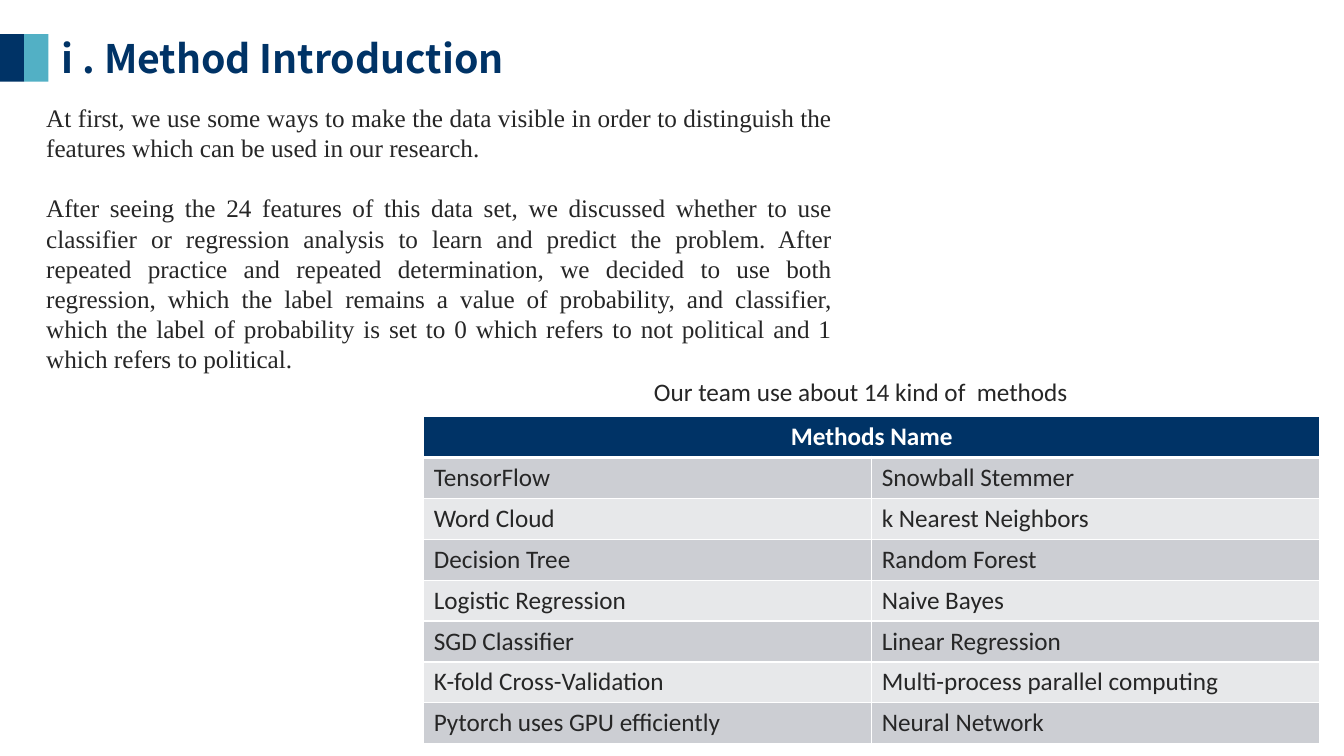
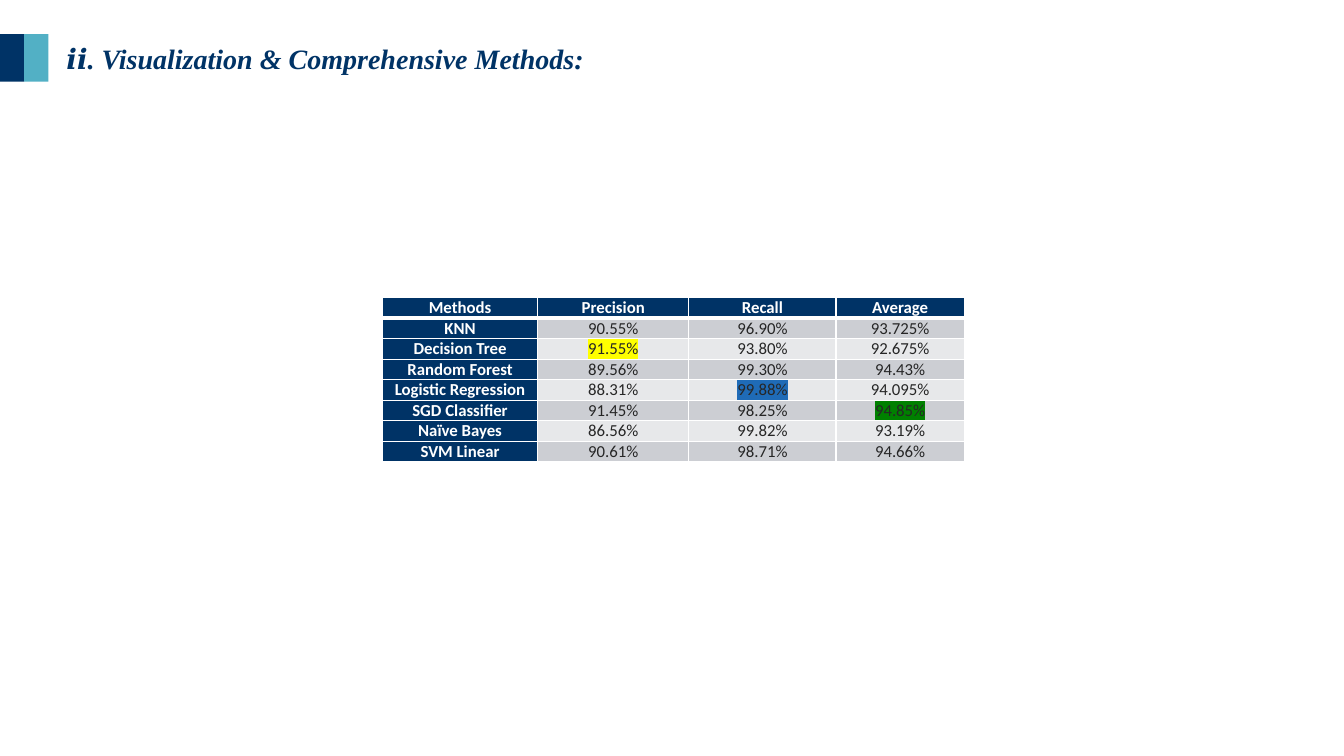
import lxml.etree
import pptx
import pptx.dml.color
import pptx.enum.shapes
import pptx.enum.text
import pptx.oxml.ns
import pptx.util

Cm = pptx.util.Cm
Pt = pptx.util.Pt
RGBColor = pptx.dml.color.RGBColor
ALIGN = pptx.enum.text.PP_ALIGN
ANCHOR = pptx.enum.text.MSO_ANCHOR
qn = pptx.oxml.ns.qn

NAVY = RGBColor(0x00, 0x33, 0x66)
TEAL = RGBColor(0x52, 0xB0, 0xC5)
INK = RGBColor(0x26, 0x26, 0x26)
WHITE = RGBColor(0xFF, 0xFF, 0xFF)
DARK_BAND = RGBColor(0xCC, 0xCE, 0xD3)
LIGHT_BAND = RGBColor(0xE7, 0xE8, 0xEA)
YELLOW = RGBColor(0xFF, 0xFF, 0x00)
BLUE = RGBColor(0x1F, 0x6B, 0xB7)
GREEN = RGBColor(0x00, 0x80, 0x00)

SANS = "Calibri"
SERIF = "Times New Roman"
LEADING = Pt(21.6)


def write(tf, text, size=18, font=SANS, color=INK, bold=False, italic=False,
          align=ALIGN.LEFT, leading=None, before=0, highlight=None):
    p = tf.paragraphs[0] if not tf.text else tf.add_paragraph()
    p.alignment = align
    p.space_before = Pt(0) if not before else before
    if leading:
        p.line_spacing = leading
    r = p.add_run()
    r.text = text
    r.font.size = Pt(size)
    r.font.name = font
    r.font.bold = bold
    r.font.italic = italic
    r.font.color.rgb = color
    if highlight:
        mark = lxml.etree.Element(qn("a:highlight"))
        lxml.etree.SubElement(mark, qn("a:srgbClr"), val=str(highlight))
        r._r.rPr.find(qn("a:solidFill")).addnext(mark)
    return p


def add_grid(s, rows, left, top, widths, height, size=18, label_column=False,
             centered=False, highlights={}):
    gf = s.shapes.add_table(len(rows), len(widths), Cm(left), Cm(top),
                            Cm(sum(widths)), Cm(height * len(rows)))
    tbl = gf.table
    for col, width in zip(tbl.columns, widths):
        col.width = Cm(width)
    if len(rows[0]) < len(widths):
        tbl.cell(0, 0).merge(tbl.cell(0, len(widths) - 1))
    for i, row in enumerate(rows):
        tbl.rows[i].height = Cm(height)
        for j in range(len(widths)):
            cell = tbl.cell(i, j)
            head = i == 0 or (label_column and j == 0)
            if centered:
                cell.margin_left = cell.margin_right = Cm(0.18)
                cell.margin_top = cell.margin_bottom = 0
            tcPr = cell._tc.get_or_add_tcPr()
            for side in "LRTB":
                thick = (i, side) in ((0, "B"), (1, "T"))
                ln = lxml.etree.SubElement(tcPr, qn("a:ln" + side),
                                           w=str(Pt(3 if thick else 1)))
                fill = lxml.etree.SubElement(ln, qn("a:solidFill"))
                lxml.etree.SubElement(fill, qn("a:srgbClr"), val=str(WHITE))
            cell.fill.solid()
            cell.fill.fore_color.rgb = NAVY if head else (LIGHT_BAND, DARK_BAND)[i % 2]
            if j < len(row):
                write(cell.text_frame, row[j], size=size, bold=head,
                      color=WHITE if head else INK,
                      align=ALIGN.CENTER if centered or i == 0 else ALIGN.LEFT,
                      highlight=highlights.get((i, j)))


prs = pptx.Presentation()
prs.slide_width = Cm(33.87)
prs.slide_height = Cm(19.05)

titles = [
    (1, "i . Method Introduction", (1.3, 0.74, 13.59, 1.45),
     dict(size=28, font="Noto Sans CJK SC")),
    (5, "ⅱ. Visualization & Comprehensive Methods:", (1.42, 0.91, 26.39, 1.12),
     dict(size=20, font=SERIF, italic=True)),
]
for layout, text, box, style in titles:
    s = prs.slides.add_slide(prs.slide_layouts[layout])
    title = s.shapes.title
    title.left, title.top, title.width, title.height = map(Cm, box)
    tf = title.text_frame
    tf.word_wrap = True
    tf.auto_size = pptx.enum.text.MSO_AUTO_SIZE.NONE
    tf.vertical_anchor = ANCHOR.MIDDLE
    write(tf, text, color=NAVY, bold=True, **style)
    for n, color in enumerate((NAVY, TEAL)):
        sp = s.shapes.add_shape(pptx.enum.shapes.MSO_SHAPE.RECTANGLE,
                                Cm(0.61 * n), Cm(0.86), Cm(0.61), Cm(1.2))
        sp.shadow.inherit = False
        sp.fill.solid()
        sp.fill.fore_color.rgb = color
        sp.line.fill.background()

intro, results = prs.slides

body = intro.placeholders[1]
body.left, body.top, body.width, body.height = map(Cm, (0.91, 2.44, 20.32, 7.19))
tf = body.text_frame
tf.word_wrap = True
tf.auto_size = pptx.enum.text.MSO_AUTO_SIZE.NONE
tf.vertical_anchor = ANCHOR.TOP
paragraphs = [
    "At first, we use some ways to make the data visible in order to distinguish "
    "the features which can be used in our research.",
    "After seeing the 24 features of this data set, we discussed whether to use "
    "classifier or regression analysis to learn and predict the problem. After "
    "repeated practice and repeated determination, we decided to use both "
    "regression, which the label remains a value of probability, and classifier, "
    "which the label of probability is set to 0 which refers to not political and "
    "1 which refers to political.",
]
for n, text in enumerate(paragraphs):
    p = write(tf, text, font=SERIF, align=ALIGN.JUSTIFY, leading=LEADING,
              before=LEADING * n)
    pPr = p._p.get_or_add_pPr()
    pPr.set("marL", "0")
    pPr.set("indent", "0")
    lxml.etree.SubElement(pPr, qn("a:buNone"))

methods = [
    ["Methods Name"],
    ["TensorFlow", "Snowball Stemmer"],
    ["Word Cloud", "k Nearest Neighbors"],
    ["Decision Tree", "Random Forest"],
    ["Logistic Regression", "Naive Bayes"],
    ["SGD Classifier", "Linear Regression"],
    ["K-fold Cross-Validation", "Multi-process parallel computing"],
    ["Pytorch uses GPU efficiently", "Neural Network"],
]
add_grid(intro, methods, 10.68, 10.5, [11.29, 11.29], 1.03)

caption = intro.shapes.add_textbox(Cm(16.23), Cm(9.37), Cm(11.46), Cm(1.02))
caption.text_frame.word_wrap = True
write(caption.text_frame, "Our team use about 14 kind of  methods")

scores = [
    ["Methods", "Precision", "Recall", "Average"],
    ["KNN", "90.55%", "96.90%", "93.725%"],
    ["Decision Tree", "91.55%", "93.80%", "92.675%"],
    ["Random Forest", "89.56%", "99.30%", "94.43%"],
    ["Logistic Regression", "88.31%", "99.88%", "94.095%"],
    ["SGD Classifier", "91.45%", "98.25%", "94.85%"],
    ["Naïve Bayes", "86.56%", "99.82%", "93.19%"],
    ["SVM Linear", "90.61%", "98.71%", "94.66%"],
]
add_grid(results, scores, 9.64, 7.5, [3.91, 3.81, 3.71, 3.23], 0.51, size=12,
         label_column=True, centered=True,
         highlights={(2, 1): YELLOW, (4, 2): BLUE, (5, 3): GREEN})

prs.save("out.pptx")
